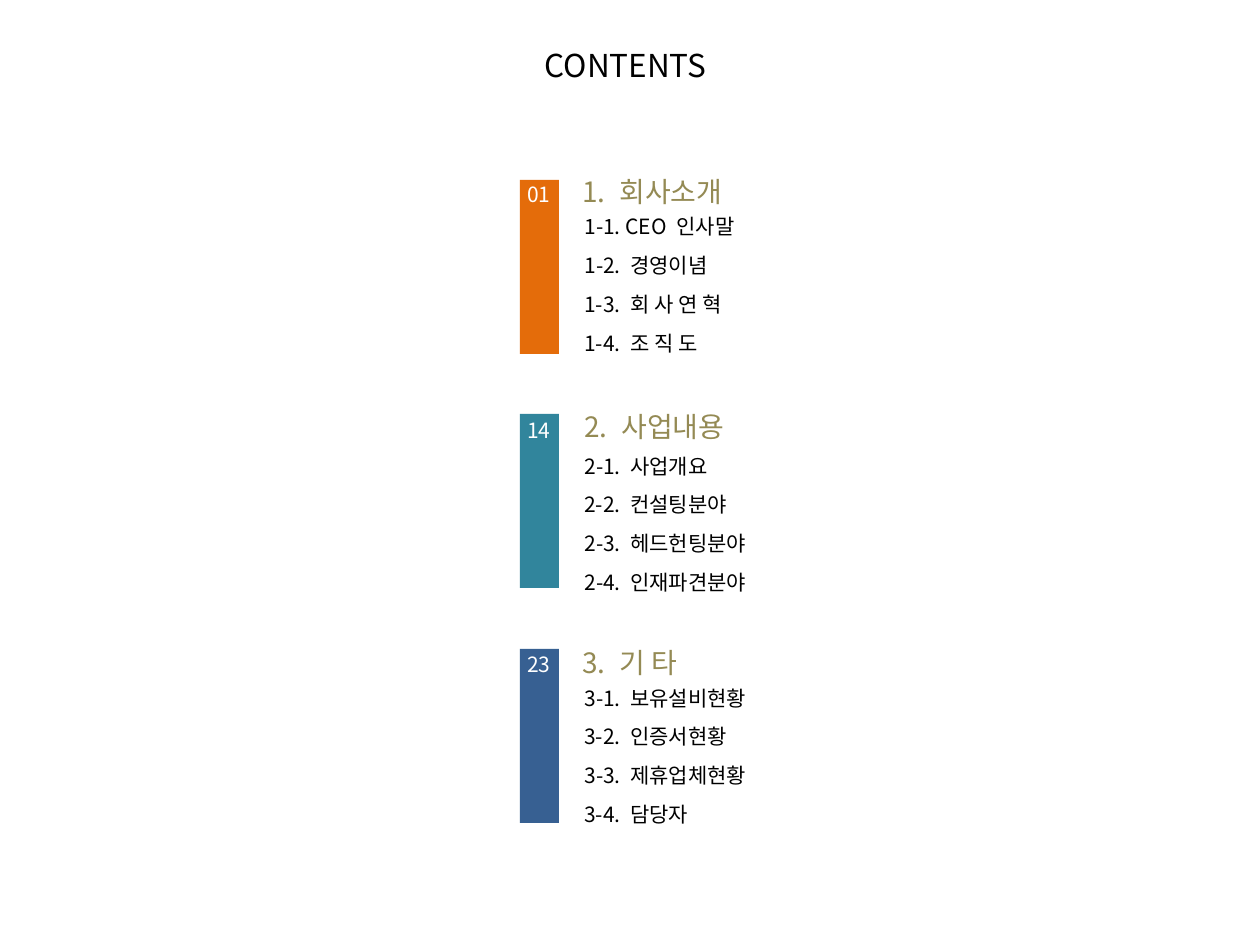
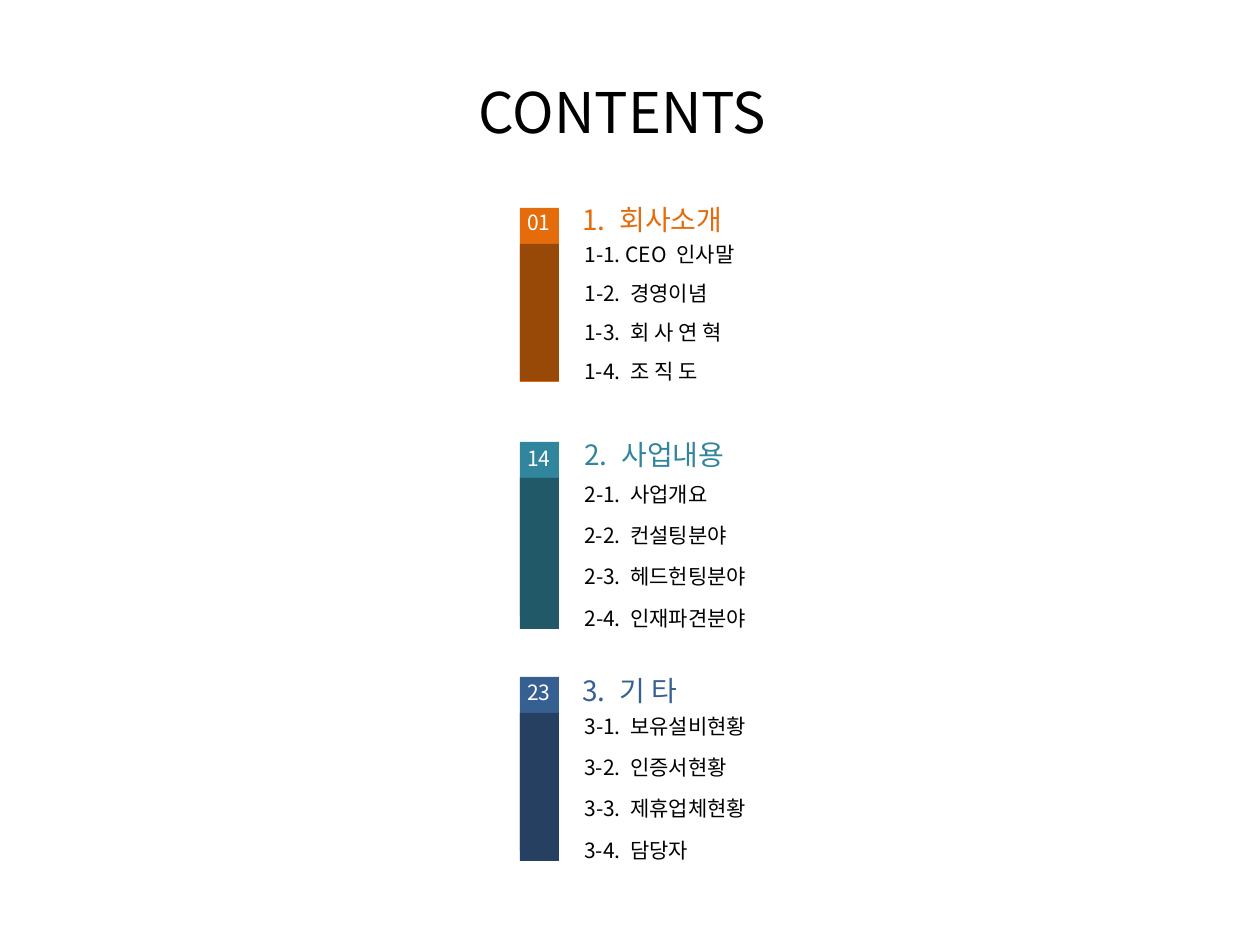
from pptx import Presentation
from pptx.dml.color import RGBColor
from pptx.enum.shapes import MSO_SHAPE
from pptx.enum.text import MSO_ANCHOR, MSO_AUTO_SIZE, PP_ALIGN
from pptx.oxml.ns import qn
from pptx.util import Pt
from lxml.etree import SubElement

PX = 914400 / 126
FONT = "Noto Sans CJK KR"
COLORS = {
    "text": "000000", "page": "FFFFFF", "khaki": "948A54",
    "orange": "E46C0A", "teal": "31859C", "blue": "376092",
    "dark orange": "984807", "dark teal": "215968", "dark blue": "254061",
}

# Tops are relative to the bar; the parts of a text are set apart by tab stops.
SECTIONS = [
    {"page": "01", "color": "orange", "bar_top": 180, "page_top": -5,
     "heading": ("1.", "회사소개"), "heading_box": (570, -12, 170), "items_top": 27,
     "items": [(("1-1. CEO", "인사말"), 181), (("1-2.", "경영이념"), 155),
               (("1-3.", "회 사 연 혁"), 176), (("1-4.", "조 직 도"), 149)]},
    {"page": "14", "color": "teal", "bar_top": 414, "page_top": -3,
     "heading": ("2.", "사업내용"), "heading_box": (572, -11, 170), "items_top": 33,
     "items": [(("2-1.", "사업개요"), 155), (("2-2.", "컨설팅분야"), 175),
               (("2-3.", "헤드헌팅분야"), 197), (("2-4.", "인재파견분야"), 197)]},
    {"page": "23", "color": "blue", "bar_top": 649, "page_top": -4,
     "heading": ("3.", "기 타"), "heading_box": (570, -10, 123), "items_top": 30,
     "items": [(("3-1.", "보유설비현황"), 197), (("3-2.", "인증서현황"), 175),
               (("3-3.", "제휴업체현황"), 197), (("3-4.", "담당자"), 149)]},
]

# An item span is the distance from the first item of a section to its last.
SLIDES = [
    {"title_box": (532, 40, 195, 50), "title_size": 18, "shift": 0,
     "item_spans": (117, 116, 116), "heading_color": "khaki", "dark_heights": ()},
    {"title_box": (466, 71, 326, 81), "title_size": 32, "shift": 28,
     "item_spans": (117, 124, 124), "heading_color": None, "dark_heights": (137, 151, 148)},
]

BAR_LEFT, BAR_WIDTH, BAR_HEIGHT = 520, 39, 174
DARK_OFFSET = 36
PAGE_LEFT, PAGE_WIDTH = 515, 49
ITEM_LEFT, LINE_HEIGHT, HEADING_HEIGHT = 572, 38, 47
ITEM_TAB, HEADING_TAB = 46, 37


def emu(pixels):
    return round(pixels * PX)


def rgb(name):
    return RGBColor.from_string(COLORS[name])


def write(shape, text, size, color, tab=None):
    frame = shape.text_frame
    frame.word_wrap = True
    frame.auto_size = MSO_AUTO_SIZE.NONE
    frame.vertical_anchor = MSO_ANCHOR.TOP
    frame.margin_right = 0
    paragraph = frame.paragraphs[0]
    paragraph.alignment = PP_ALIGN.LEFT
    if tab:
        tab_list = SubElement(paragraph._p.get_or_add_pPr(), qn("a:tabLst"))
        for stop in (1, 2):
            SubElement(tab_list, qn("a:tab"), pos=str(emu(tab * stop)), algn="l")
    run = paragraph.add_run()
    run.text = text
    run.font.size = Pt(size)
    run.font.name = FONT
    run.font.color.rgb = rgb(color)
    SubElement(run._r.get_or_add_rPr(), qn("a:ea"), typeface=FONT)


def add_text(slide, box, text, size, color, tab=None):
    write(slide.shapes.add_textbox(*map(emu, box)), text, size, color, tab)


def add_bar(slide, top, height, color):
    box = (BAR_LEFT, top, BAR_WIDTH, height)
    bar = slide.shapes.add_shape(MSO_SHAPE.RECTANGLE, *map(emu, box))
    bar.shadow.inherit = False
    bar.fill.solid()
    bar.fill.fore_color.rgb = rgb(color)
    bar.line.fill.background()


def add_title(slide, box, size):
    title = slide.shapes.title
    title.left, title.top, title.width, title.height = map(emu, box)
    write(title, "CONTENTS", size, "text")


def add_section(slide, section, shift, item_span, heading_color):
    top = section["bar_top"] + shift
    left, offset, width = section["heading_box"]
    add_text(slide, (left, top + offset, width, HEADING_HEIGHT),
             "\t".join(section["heading"]), 16, heading_color or section["color"], HEADING_TAB)
    items = section["items"]
    for index, (parts, width) in enumerate(items):
        item_top = top + section["items_top"] + item_span * index / (len(items) - 1)
        add_text(slide, (ITEM_LEFT, item_top, width, LINE_HEIGHT),
                 "\t".join(parts), 12, "text", ITEM_TAB)
    add_bar(slide, top, BAR_HEIGHT, section["color"])
    add_text(slide, (PAGE_LEFT, top + section["page_top"], PAGE_WIDTH, LINE_HEIGHT),
             section["page"], 12, "page")


def main():
    presentation = Presentation()
    presentation.slide_width, presentation.slide_height = emu(1260), emu(945)
    for content in SLIDES:
        slide = presentation.slides.add_slide(presentation.slide_layouts[5])
        add_title(slide, content["title_box"], content["title_size"])
        for section, item_span in zip(SECTIONS, content["item_spans"]):
            add_section(slide, section, content["shift"], item_span, content["heading_color"])
        for section, height in zip(SECTIONS, content["dark_heights"]):
            dark_top = section["bar_top"] + content["shift"] + DARK_OFFSET
            add_bar(slide, dark_top, height, "dark " + section["color"])
    presentation.save("out.pptx")


if __name__ == "__main__":
    main()
